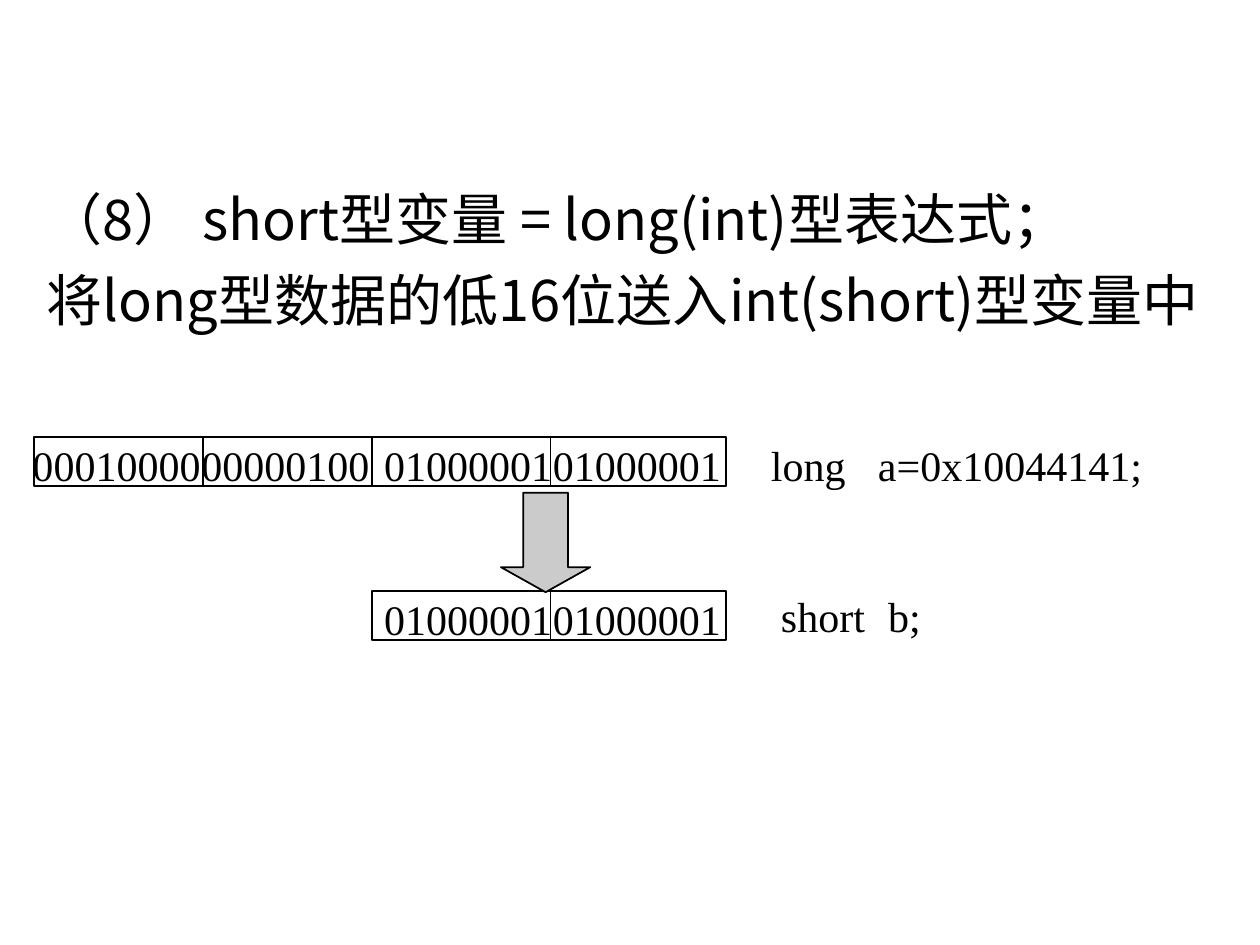
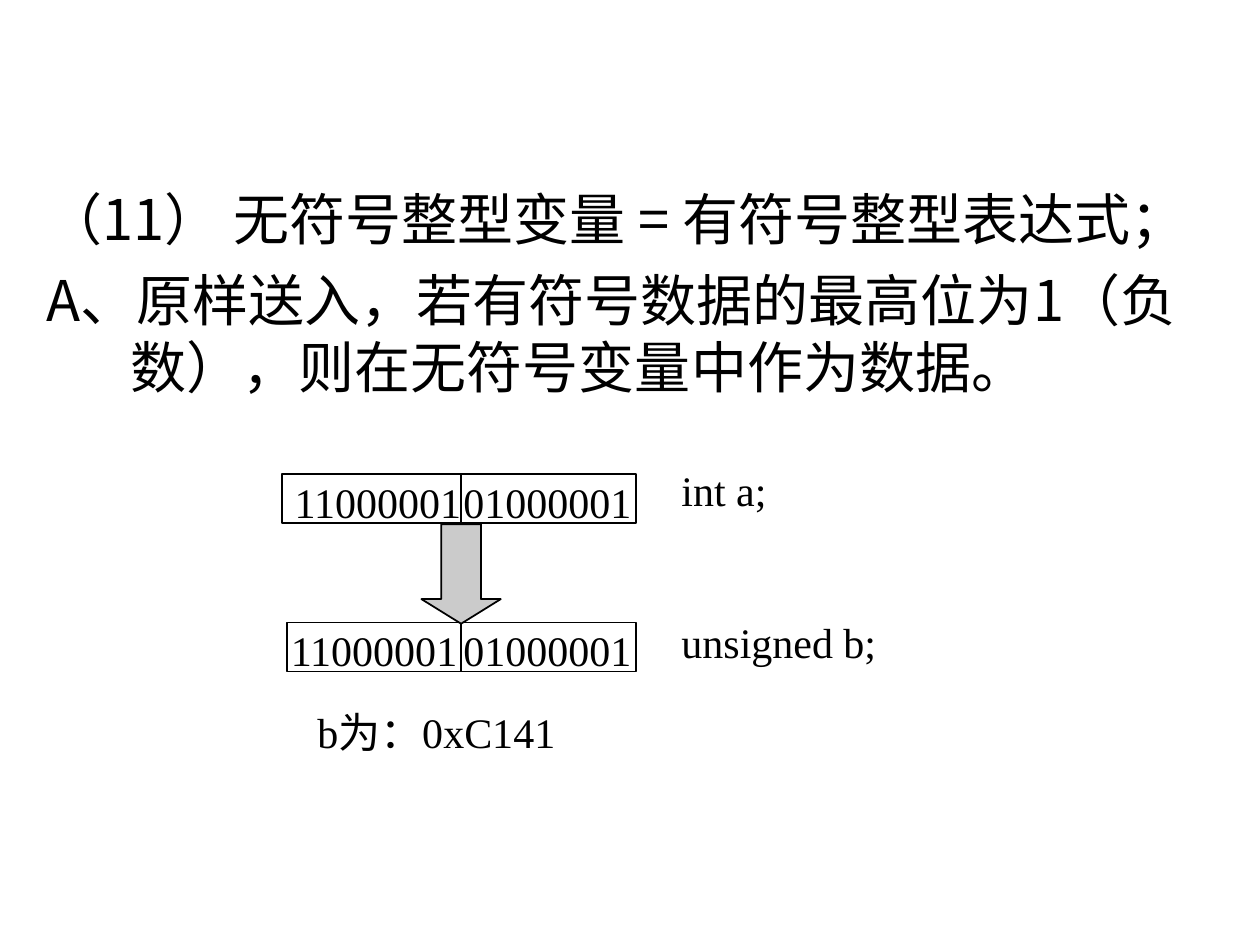
from lxml.etree import SubElement
from pptx import Presentation
from pptx.dml.color import RGBColor
from pptx.enum.shapes import MSO_CONNECTOR, MSO_SHAPE
from pptx.oxml.ns import qn
from pptx.util import Inches, Pt

COLORS = {"ink": "000000", "arrow": "CBCBCB"}
SANS = "Noto Sans CJK SC"
SERIF = "Times New Roman"
CELL_HEIGHT = 0.39
LABEL_STEP = 1.2
BODY = {"line_spacing": Pt(38.3)}
HANGING = {"marL": Inches(0.67), "indent": -Inches(0.67)}


def rgb(name):
    return RGBColor.from_string(COLORS[name])


class Deck:
    def __init__(self):
        self.prs = Presentation()
        self.prs.slide_width = Inches(10)
        self.prs.slide_height = Inches(7.5)
        self.s = None

    def new_slide(self):
        self.s = self.prs.slides.add_slide(self.prs.slide_layouts[6])

    def format_line(self, line):
        line.color.rgb = rgb("ink")
        line.width = Pt(1)

    def paragraph(self, p, text, font, size):
        r = p.add_run()
        r.text = text
        for key, value in {"name": font, "size": Pt(size)}.items():
            setattr(r.font, key, value)
        r.font.color.rgb = rgb("ink")
        SubElement(r.font._element, qn("a:ea"), typeface=SANS)

    def textbox(self, left, top, width, height):
        tf = self.s.shapes.add_textbox(*map(Inches, (left, top, width, height))).text_frame
        tf.word_wrap = True
        return tf

    def body(self, *texts):
        tf = self.textbox(0.27, 1.42, 9.73, 2.02)
        for i, text in enumerate(texts):
            p = tf.add_paragraph() if i else tf.paragraphs[0]
            for key, value in HANGING.items():
                p._p.get_or_add_pPr().set(key, str(value))
            for key, value in BODY.items():
                setattr(p, key, value)
            if i:
                p.space_before = Pt(8)
            self.paragraph(p, text, SANS, 32)

    def text(self, text, left, top, width=3.27, tab=None):
        p = self.textbox(left, top, width, 0.5).paragraphs[0]
        if tab:
            tabs = SubElement(p._p.get_or_add_pPr(), qn("a:tabLst"))
            SubElement(tabs, qn("a:tab"), pos=str(Inches(tab)), algn="l")
        self.paragraph(p, text, SERIF, 24)

    def shape(self, kind, left, top, width, height, fill=None):
        sp = self.s.shapes.add_shape(kind, *map(Inches, (left, top, width, height)))
        sp.shadow.inherit = False
        if fill:
            sp.fill.solid()
            sp.fill.fore_color.rgb = rgb(fill)
        else:
            sp.fill.background()
        self.format_line(sp.line)
        return sp

    def divider(self, x, top):
        ends = map(Inches, (x, top, x, top + CELL_HEIGHT))
        line = self.s.shapes.add_connector(MSO_CONNECTOR.STRAIGHT, *ends)
        self.format_line(line.line)
        SubElement(line._element.spPr, qn("a:effectLst"))

    def register(self, left, top, right, dividers, octets):
        self.shape(MSO_SHAPE.RECTANGLE, left, top, right - left, CELL_HEIGHT)
        for x in dividers:
            self.divider(x, top)
        for x, bits in octets:
            self.text(bits, x, top - 0.03, 1.6)

    def arrow(self, center, top, width, head):
        sp = self.shape(MSO_SHAPE.DOWN_ARROW, center - width / 2, top, width, 0.79, "arrow")
        sp.adjustments[0] = 0.5
        sp.adjustments[1] = head


def long_to_short(deck):
    deck.new_slide()
    deck.body("（8） short型变量 = long(int)型表达式；",
              "将long型数据的低16位送入int(short)型变量中")
    low_octets = [(2.95, "01000001"), (4.29, "01000001")]
    deck.register(0.27, 3.47, 5.76, [1.61, 2.95, 4.37],
                  [(0.16, "00010000"), (1.5, "00000100")] + low_octets)
    deck.register(2.95, 4.69, 5.76, [4.37], low_octets)
    deck.arrow(4.33, 3.91, 0.71, 0.28)
    deck.text("long\ta=0x10044141;", 6.02, 3.44, tab=0.85)
    deck.text("short\tb;", 6.1, 3.44 + LABEL_STEP, tab=0.85)


def signed_to_unsigned(deck):
    deck.new_slide()
    deck.body("（11） 无符号整型变量 = 有符号整型表达式；",
              "A、原样送入，若有符号数据的最高位为1（负数），则在无符号变量中作为数据。")
    for left, top, first in ((2.24, 3.76, 2.24), (2.28, 4.94, 2.21)):
        deck.register(left, top, 5.05, [3.66],
                      [(first, "11000001"), (3.58, "01000001")])
    deck.arrow(3.66, 4.16, 0.63, 0.31)
    for i, label in enumerate(("int a;", "unsigned b;")):
        deck.text(label, 5.31, 3.64 + i * LABEL_STEP)
    deck.text("b为：0xC141", 2.42, 5.56)


def main():
    deck = Deck()
    long_to_short(deck)
    signed_to_unsigned(deck)
    deck.prs.save("out.pptx")


if __name__ == "__main__":
    main()
